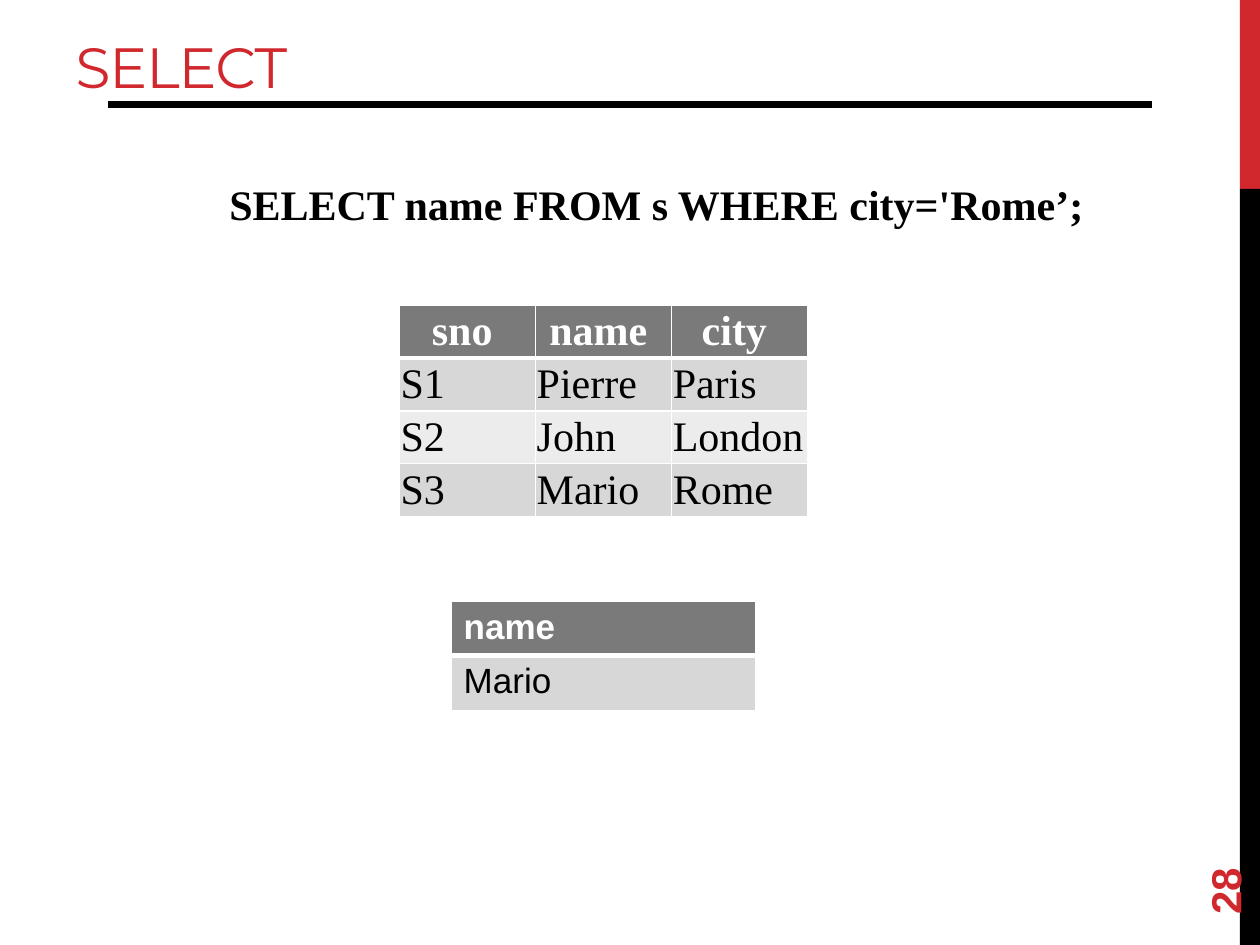
from dataclasses import dataclass

from lxml import etree
from pptx import Presentation
from pptx.dml.color import RGBColor
from pptx.enum.shapes import MSO_CONNECTOR, MSO_SHAPE
from pptx.enum.text import MSO_ANCHOR, PP_ALIGN
from pptx.oxml.ns import qn
from pptx.util import Inches, Pt

LEFT, CENTER, JUSTIFY = PP_ALIGN.LEFT, PP_ALIGN.CENTER, PP_ALIGN.JUSTIFY
TOP, MIDDLE, BOTTOM = MSO_ANCHOR.TOP, MSO_ANCHOR.MIDDLE, MSO_ANCHOR.BOTTOM
RED, BLACK, WHITE = "D1282E", "000000", "FFFFFF"
HEADER_FILL, BAND_FILLS = "7A7A7A", ("D7D7D7", "ECECEC")
SERIF, SANS, TITLE_FONT = "Times New Roman", "Arial", "Montserrat"
LAYOUT_TITLE_ONLY = 5


@dataclass
class TextStyle:
    font: str
    size: float
    color: str
    bold: bool = False
    align: PP_ALIGN = LEFT


@dataclass
class Bar:
    top: float
    height: float
    color: str


@dataclass
class DataTable:
    left: float
    top: float
    column_width: float
    row_height: float
    rows: list[tuple[str, ...]]
    font: str
    size: float
    header_align: PP_ALIGN
    anchor: MSO_ANCHOR
    margins: dict[str, float]


BARS = [Bar(0, 1.5, RED), Bar(1.5, 6, BLACK)]
TABLES = [
    DataTable(
        3.17, 2.42, 1.08, 0.42,
        [("sno ", "name ", "city "), ("S1", "Pierre", "Paris"),
         ("S2", "John", "London"), ("S3", "Mario", "Rome")],
        SERIF, 24, CENTER, MIDDLE,
        {f"margin_{side}": 0.01 for side in ("left", "top", "right", "bottom")},
    ),
    DataTable(3.58, 4.77, 2.42, 0.43, [("name",), ("Mario",)],
              SANS, 20, LEFT, TOP, {}),
]


def rgb(color: str) -> RGBColor:
    return RGBColor.from_string(color)


def fill_solid(item, color: str) -> None:
    item.fill.solid()
    item.fill.fore_color.rgb = rgb(color)


def write_text(text_frame, text: str, style: TextStyle):
    paragraph = text_frame.paragraphs[0]
    paragraph.alignment = style.align
    run = paragraph.add_run()
    run.text = text
    font_values = {"name": style.font, "size": Pt(style.size), "bold": style.bold}
    for name, value in font_values.items():
        setattr(run.font, name, value)
    run.font.color.rgb = rgb(style.color)
    return run


def add_bar(slide, bar: Bar) -> None:
    shape = slide.shapes.add_shape(
        MSO_SHAPE.RECTANGLE, Inches(9.84), Inches(bar.top), Inches(0.16), Inches(bar.height))
    shape.shadow.inherit = False
    fill_solid(shape, bar.color)
    shape.line.fill.background()


def add_title_rule(slide) -> None:
    rule = slide.shapes.add_connector(
        MSO_CONNECTOR.STRAIGHT, Inches(0.86), Inches(0.83), Inches(9.14), Inches(0.83))
    rule.line.color.rgb = rgb(BLACK)
    rule.line.width = Pt(4)
    etree.SubElement(rule._element.spPr, qn("a:effectLst"))


def set_title(slide, text: str) -> None:
    title = slide.shapes.title
    position = {"left": 0.5, "top": 0.17, "width": 9.33, "height": 0.67}
    for name, value in position.items():
        setattr(title, name, Inches(value))
    title.text_frame.vertical_anchor = BOTTOM
    run = write_text(title.text_frame, text, TextStyle(TITLE_FONT, 32.4, RED))
    run.font._element.set("spc", "-60")


def add_text(slide, position: tuple[float, ...], text: str, style: TextStyle,
             margins: dict[str, float]):
    shape = slide.shapes.add_textbox(*(Inches(value) for value in position))
    text_frame = shape.text_frame
    text_frame.word_wrap = True
    text_frame.vertical_anchor = MIDDLE
    for name, value in margins.items():
        setattr(text_frame, name, Inches(value))
    write_text(text_frame, text, style)
    return shape


def set_borders(cell, bottom_width: float, top_width: float) -> None:
    """Draw white borders, placed before the cell's fill as the schema requires."""
    properties = cell._tc.get_or_add_tcPr()
    widths = {"L": 1, "R": 1, "T": top_width, "B": bottom_width}
    for index, (side, width) in enumerate(widths.items()):
        line = etree.Element(qn(f"a:ln{side}"), w=str(Pt(width)))
        solid = etree.SubElement(line, qn("a:solidFill"))
        etree.SubElement(solid, qn("a:srgbClr"), val=WHITE)
        properties.insert(index, line)


def add_data_table(slide, data: DataTable) -> None:
    row_count, column_count = len(data.rows), len(data.rows[0])
    table = slide.shapes.add_table(
        row_count, column_count, Inches(data.left), Inches(data.top),
        Inches(data.column_width * column_count),
        Inches(data.row_height * row_count)).table
    table.first_row = table.horz_banding = False
    for row_index, row in enumerate(data.rows):
        is_header = row_index == 0
        style = TextStyle(data.font, data.size, WHITE if is_header else BLACK,
                          is_header, data.header_align if is_header else LEFT)
        fill = HEADER_FILL if is_header else BAND_FILLS[(row_index - 1) % 2]
        for column_index, text in enumerate(row):
            cell = table.cell(row_index, column_index)
            cell.vertical_anchor = data.anchor
            for name, value in data.margins.items():
                setattr(cell, name, Inches(value))
            fill_solid(cell, fill)
            set_borders(cell, bottom_width=3 if is_header else 1,
                        top_width=3 if row_index == 1 else 1)
            write_text(cell.text_frame, text, style)


def main() -> None:
    presentation = Presentation()
    presentation.slide_width, presentation.slide_height = Inches(10), Inches(7.5)
    slide = presentation.slides.add_slide(presentation.slide_layouts[LAYOUT_TITLE_ONLY])
    for bar in BARS:
        add_bar(slide, bar)
    add_title_rule(slide)
    set_title(slide, "SELECT")
    slide_number = add_text(slide, (9, 6.44, 1.44, 0.4), "28",
                            TextStyle(SANS, 24, RED, bold=True), {})
    slide_number.rotation = 270
    add_text(slide, (1.32, 1.42, 7.37, 0.4), "SELECT name FROM s WHERE city='Rome’;",
             TextStyle(SERIF, 24, BLACK, bold=True, align=JUSTIFY),
             {"margin_left": 0.5, "margin_top": 0, "margin_right": 0, "margin_bottom": 0})
    for data in TABLES:
        add_data_table(slide, data)
    presentation.save("out.pptx")


if __name__ == "__main__":
    main()
